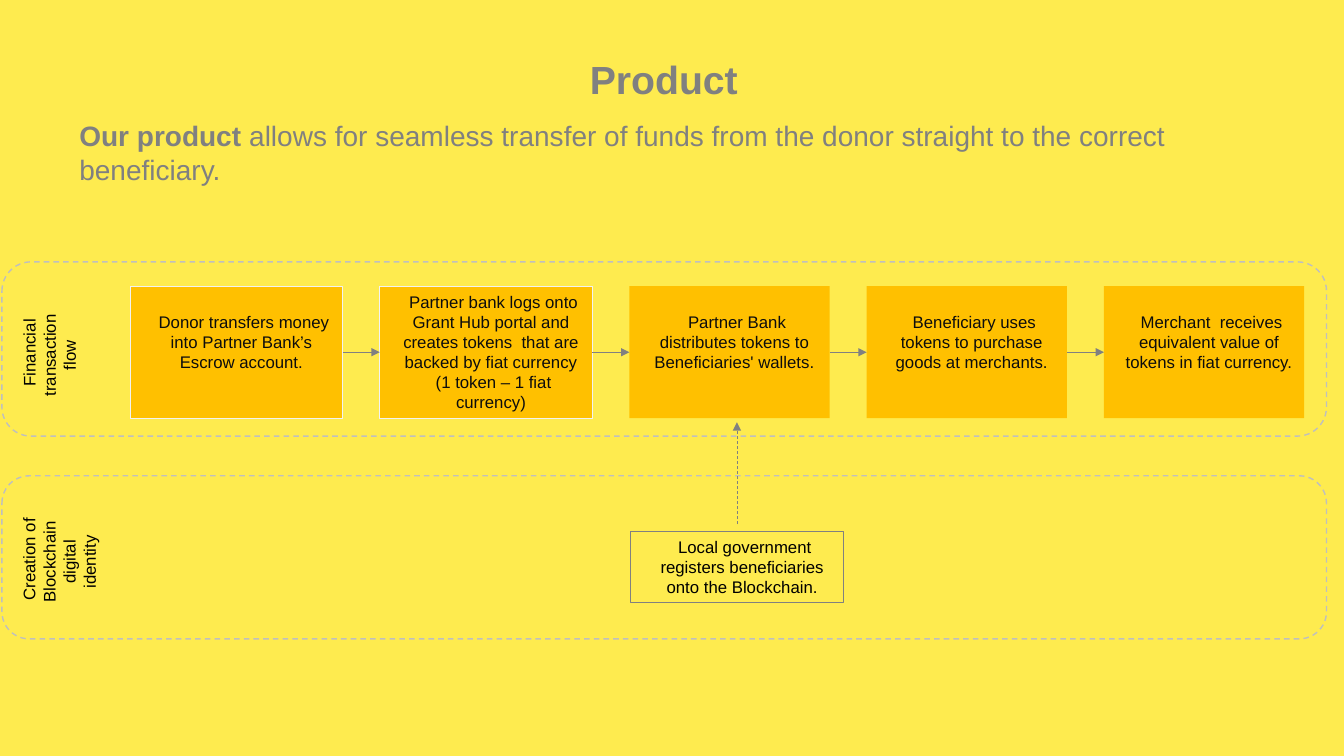
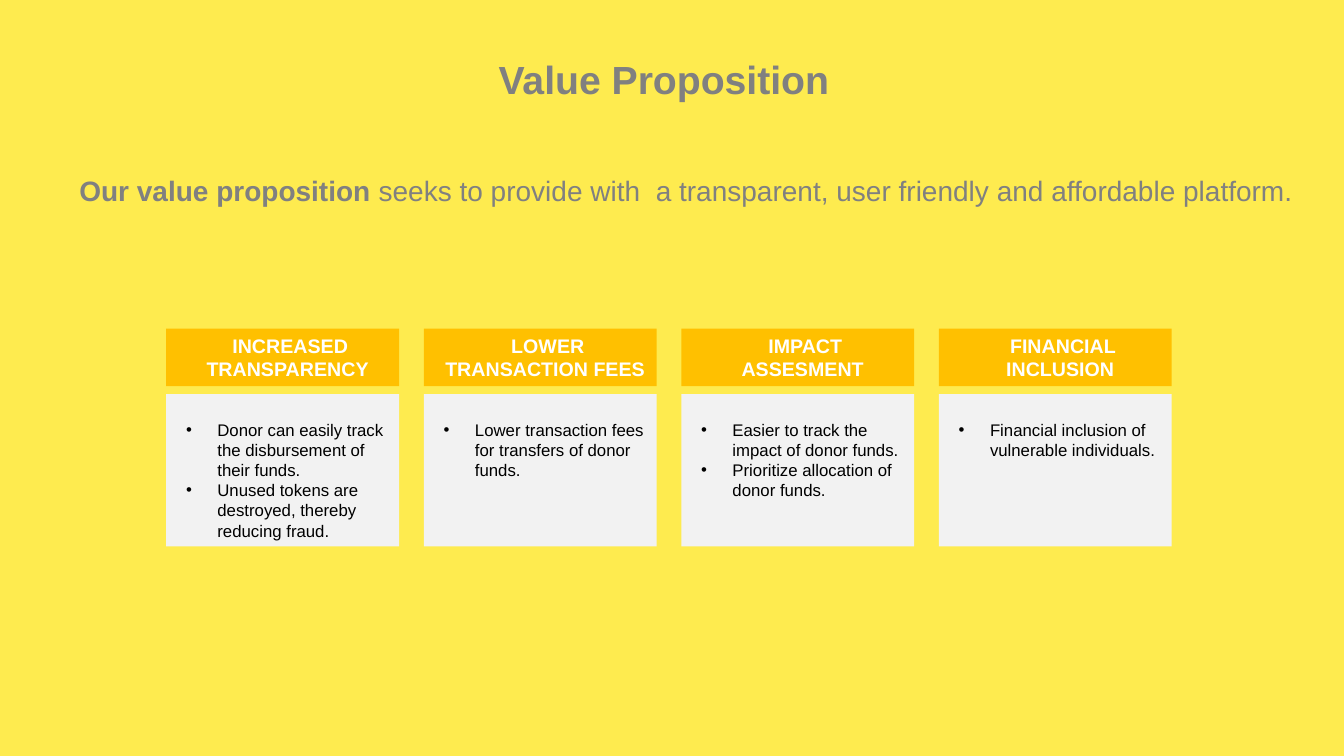
from dataclasses import dataclass

from pptx import Presentation
from pptx.dml.color import RGBColor
from pptx.enum.dml import MSO_LINE_DASH_STYLE as Dash
from pptx.enum.shapes import MSO_CONNECTOR as Conn, MSO_SHAPE as Shape
from pptx.enum.text import MSO_ANCHOR as Anchor, PP_ALIGN as Align
from pptx.oxml.ns import qn
from pptx.util import Cm, Pt
from lxml import etree


@dataclass(frozen=True)
class Theme:
    font: str = "Arial"
    # Colours
    page: str = "FEEB4F"
    accent: str = "FFC000"
    grey: str = "808080"
    band: str = "BFBFBF"
    pale: str = "F2F2F2"
    ink: str = "0D0D0D"
    black: str = "000000"
    white: str = "FFFFFF"
    # Type sizes in points
    title: int = 28
    lead: int = 20
    head: int = 14
    body: int = 12


T = Theme()
SOFT_INDENT = (0.25, 0.13)
BULLET_INDENT = (1.04, -0.79)
TOP_INSET, LOW_INSET = 0.13, 0.64


def rgb(value):
    return RGBColor.from_string(value)


class Deck:
    """Holds the presentation, its style and the current slide."""

    def __init__(self):
        self.prs = Presentation()
        self.prs.slide_width, self.prs.slide_height = Cm(33.87), Cm(19.05)
        self.s = None

    def new_slide(self, title, lead_bold, lead_rest, lead_top):
        self.s = self.prs.slides.add_slide(self.prs.slide_layouts[6])
        fill = self.s.background.fill
        fill.solid()
        fill.fore_color.rgb = rgb(T.page)
        tf = self.text_box(12.07, 1.27, 9.32, 1.45).text_frame
        self.para(tf, [(title, True)], T.title, T.grey)
        tf = self.text_box(1.75, lead_top, 31.22, 1.96).text_frame
        self.para(tf, [(lead_bold, True), (lead_rest, False)], T.lead, T.grey, align=Align.LEFT)

    def para(self, tf, runs, size, color, align=Align.CENTER, indent=None, bullet=False):
        """Fill the first paragraph if it is free, otherwise add one."""
        p = tf.paragraphs[0] if not tf.paragraphs[0].runs else tf.add_paragraph()
        p.alignment = align
        pPr = p._p.get_or_add_pPr()
        if indent:
            pPr.set("marL", str(Cm(indent[0])))
            pPr.set("indent", str(Cm(indent[1])))
        if bullet:
            etree.SubElement(pPr, qn("a:buFont")).set("typeface", T.font)
            etree.SubElement(pPr, qn("a:buChar")).set("char", "•")
        for text, bold in runs:
            r = p.add_run()
            r.text = text
            r.font.name, r.font.size, r.font.bold = T.font, Pt(size), bold
            r.font.color.rgb = rgb(color)

    def text_box(self, x, y, w, h):
        sp = self.s.shapes.add_textbox(Cm(x), Cm(y), Cm(w), Cm(h))
        sp.text_frame.word_wrap = True
        return sp

    def box(self, x, y, w, h, fill=None, line=None, width=0.75, dash=None,
            kind=Shape.RECTANGLE, top=TOP_INSET):
        sp = self.s.shapes.add_shape(kind, Cm(x), Cm(y), Cm(w), Cm(h))
        sp.shadow.inherit = False
        if fill:
            sp.fill.solid()
            sp.fill.fore_color.rgb = rgb(fill)
        else:
            sp.fill.background()
        if line:
            sp.line.color.rgb = rgb(line)
            sp.line.width = Pt(width)
            sp.line.dash_style = dash
        else:
            sp.line.fill.background()
        tf = sp.text_frame
        tf.word_wrap, tf.vertical_anchor, tf.margin_top = True, Anchor.TOP, Cm(top)
        return sp

    def step(self, x, y, w, h, lines, color=T.ink, **style):
        sp = self.box(x, y, w, h, **style)
        for text in lines:
            self.para(sp.text_frame, [(text, False)], T.body, color, indent=SOFT_INDENT)
        return sp

    def band(self, top, height, label, label_box):
        self.box(0.05, top, 33.38, height, line=T.band, width=1, dash=Dash.DASH,
                 kind=Shape.ROUNDED_RECTANGLE)
        sp = self.text_box(*label_box)
        sp.rotation = 270
        self.para(sp.text_frame, [(label, False)], T.body, T.black, indent=SOFT_INDENT)

    def arrow(self, x1=0, y1=0, x2=0, y2=0, dash=None):
        c = self.s.shapes.add_connector(Conn.STRAIGHT, Cm(x1), Cm(y1), Cm(x2), Cm(y2))
        c.line.color.rgb = rgb(T.grey)
        c.line.width = Pt(0.5)
        c.line.dash_style = dash
        etree.SubElement(c.line._get_or_add_ln(), qn("a:tailEnd")).set("type", "triangle")
        etree.SubElement(c._element.spPr, qn("a:effectLst"))
        return c

    def join(self, left, right):
        c = self.arrow()
        c.begin_connect(left, 3)
        c.end_connect(right, 1)

    def card(self, x, heading, points):
        width = 5.87
        head = self.box(x, 8.28, width, 1.45, fill=T.accent)
        self.para(head.text_frame, [(heading, True)], T.head, T.white, indent=SOFT_INDENT)
        body = self.box(x, 9.93, width, 3.84, fill=T.pale, top=LOW_INSET)
        for point in points:
            self.para(body.text_frame, [(point, False)], T.body, T.black,
                      align=Align.LEFT, indent=BULLET_INDENT, bullet=True)


def product_slide(deck):
    deck.new_slide("Product", "Our product ",
                   "allows for seamless transfer of funds from the donor straight "
                   "to the correct beneficiary.", 2.87)

    # Lanes
    deck.band(6.6, 4.39, "Financial transaction flow", (-0.3, 8.18, 3.1, 1.8))
    deck.band(11.99, 4.11, "Creation of Blockchain digital identity", (-0.05, 13.13, 3.1, 2.31))

    # Transaction steps: width, outline, top inset, text
    wide, narrow, gap = 5.36, 5.05, 0.93
    steps = [
        (wide, T.pale, LOW_INSET, ["Donor transfers money into Partner Bank’s Escrow account."]),
        (wide, T.pale, TOP_INSET,
         ["Partner bank logs onto Grant Hub portal and creates tokens  that are "
          "backed by fiat currency", "(1 token – 1 fiat currency)"]),
        (narrow, None, LOW_INSET, ["Partner Bank distributes tokens to Beneficiaries' wallets."]),
        (narrow, None, LOW_INSET, ["Beneficiary uses tokens to purchase goods at merchants."]),
        (narrow, None, LOW_INSET,
         ["Merchant  receives equivalent value of tokens in fiat currency."]),
    ]
    x, boxes = 3.28, []
    for width, outline, top, lines in steps:
        boxes.append(deck.step(x, 7.21, width, 3.33, lines, fill=T.accent, line=outline, top=top))
        x += width + gap
    for left, right in zip(boxes, boxes[1:]):
        deck.join(left, right)

    # Identity registration
    deck.step(15.9, 13.39, wide, 1.8,
              ["Local government registers beneficiaries onto the Blockchain."],
              color=T.black, line=T.grey)
    deck.arrow(18.57, 13.21, 18.57, 10.64, dash=Dash.DASH)


def value_slide(deck):
    deck.new_slide("Value Proposition", "Our value proposition ",
                   "seeks to provide with  a transparent, user friendly and "
                   "affordable platform.", 4.24)

    # Benefit cards
    cards = [
        ("INCREASED TRANSPARENCY",
         ["Donor can easily track the disbursement of their funds.",
          "Unused tokens are destroyed, thereby reducing fraud."]),
        ("LOWER TRANSACTION FEES", ["Lower transaction fees for transfers of donor funds."]),
        ("IMPACT ASSESMENT",
         ["Easier to track the impact of donor funds.",
          "Prioritize allocation of donor funds."]),
        ("FINANCIAL INCLUSION", ["Financial inclusion of vulnerable individuals."]),
    ]
    for i, (heading, points) in enumerate(cards):
        deck.card(4.19 + i * 6.49, heading, points)


def main():
    deck = Deck()
    product_slide(deck)
    value_slide(deck)
    deck.prs.save("out.pptx")


if __name__ == "__main__":
    main()
